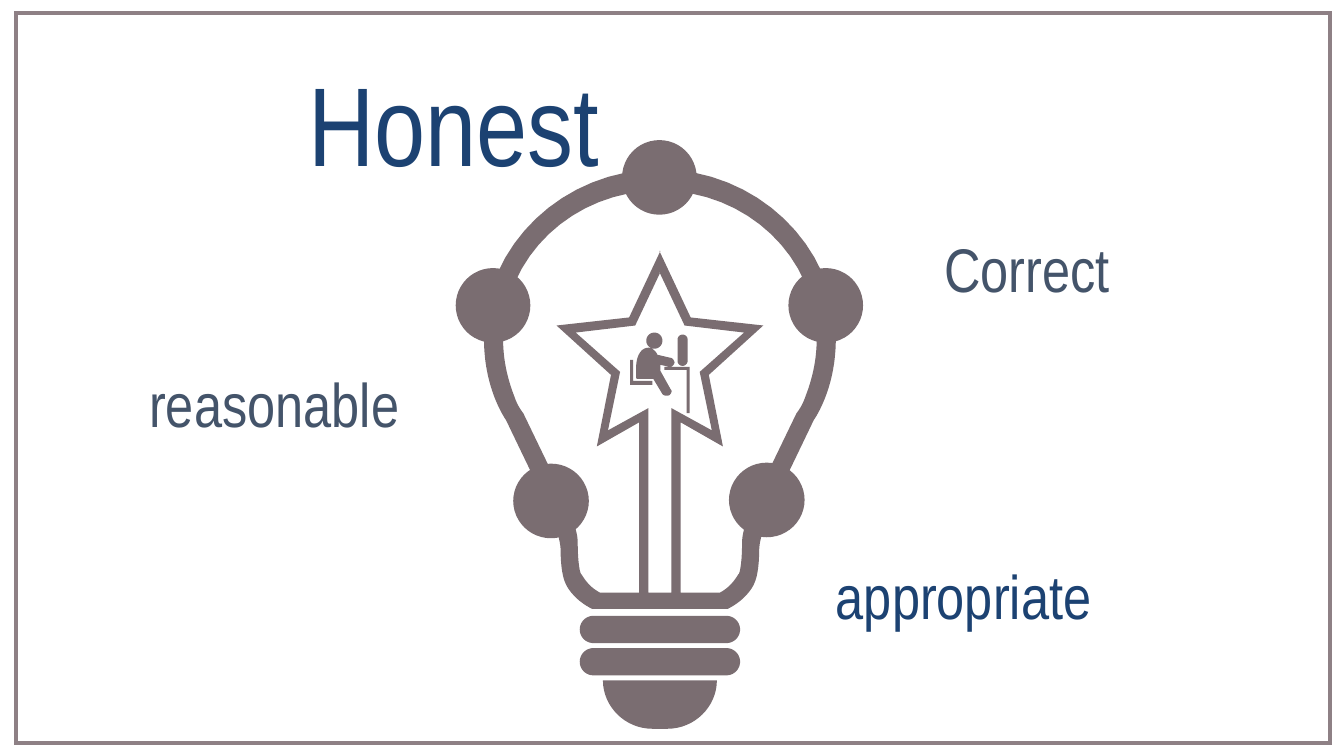
from dataclasses import dataclass

from lxml import etree
from pptx import Presentation, util as u
from pptx.dml.color import RGBColor
from pptx.enum import shapes, text
from pptx.oxml import ns

PX = 9144
MIRROR_SUM = 1309
CURVE_STEPS = 16
ROUNDNESS = 0.45

TAUPE = RGBColor(0x7A, 0x6D, 0x71)
FRAME_GREY = RGBColor(0x8E, 0x80, 0x85)
SLATE = RGBColor(0x44, 0x54, 0x6A)
NAVY = RGBColor(0x1C, 0x42, 0x72)

Point = tuple[float, float]
Segment = tuple[float, ...]


@dataclass(frozen=True)
class Contour:
    start: Point
    segments: list[Segment]
    mirrored: bool = True


@dataclass(frozen=True)
class Box:
    left: int
    top: int
    width: int
    height: int


@dataclass(frozen=True)
class Word:
    wording: str
    box: Box
    size: int
    color: RGBColor
    alignment: text.PP_ALIGN = text.PP_ALIGN.LEFT


def pill(left: int, top: int, width: int, height: int) -> Contour:
    right, bottom = left + width, top + height
    r = min(width, height) / 2
    k = r * ROUNDNESS
    return Contour((left + r, top), [
        (right - r, top),
        (right - k, top, right, top + k, right, top + r),
        (right, bottom - r),
        (right, bottom - k, right - k, bottom, right - r, bottom),
        (left + r, bottom),
        (left + k, bottom, left, bottom - k, left, bottom - r),
        (left, top + r),
        (left, top + k, left + k, top, left + r, top),
    ], mirrored=False)


GLASS = Contour((655, 168), [
    (559, 168, 480, 243, 480, 335),
    (480, 358, 484, 379, 492, 398),
    (495, 405, 498, 411, 502, 417),
    (514, 442, 534, 484, 547, 509),
    (547, 509, 556, 535, 556, 545),
    (556, 555, 557, 571, 561, 579),
    (563, 584, 571, 596, 587, 604),
    (655, 604),
])
STAR_INSIDE = Contour((655, 270), [
    (630, 323), (571, 330), (615, 369), (603, 427), (643, 405), (643, 588), (655, 588),
])
CAVITY = Contour((655, 249), [
    (624, 315), (552, 323), (606, 372), (592, 443), (634, 419), (634, 588), (595, 588),
    (582, 581, 578, 571, 576, 569),
    (574, 564, 573, 551, 573, 538),
    (573, 523, 561, 500, 561, 497),
    (519, 410),
    (515, 405, 512, 399, 510, 393),
    (503, 375, 499, 356, 499, 337),
    (499, 255, 568, 189, 655, 189),
])
CAP = Contour((655, 675), [(598, 675), (598, 701, 620, 723, 647, 723), (655, 723)])
SCREW_RINGS = [pill(575, top, 159, 27) for top in (611, 643)]
WORKER_BODY = Contour((643, 345), [
    (647, 345, 651, 349, 652, 352),
    (665, 355),
    (667, 355, 669, 358, 669, 360),
    (668, 363, 666, 364, 664, 364),
    (655, 362), (655, 368), (665, 386),
    (667, 388, 666, 390, 664, 392),
    (662, 393, 659, 393, 657, 391),
    (648, 376), (632, 376), (631, 375), (631, 364),
    (631, 353, 636, 345, 643, 345),
], mirrored=False)
WORKER_HEAD = pill(641, 330, 16, 16)
MONITOR = pill(672, 332, 10, 31)
DESK = Contour((659, 364), [
    (684, 364), (684, 410), (681, 410), (681, 367), (659, 367),
], mirrored=False)
CHAIR = Contour((625, 357), [
    (628, 357), (628, 378), (647, 378), (647, 382), (625, 382),
], mirrored=False)
OUTLINES = [
    [CAP, *SCREW_RINGS],
    [GLASS, STAR_INSIDE, CAVITY],
    [DESK, CHAIR, MONITOR, WORKER_HEAD, WORKER_BODY],
]

NODES = [Box(left, top, width, 74) for left, top, width in
         [(723, 459, 75), (452, 266, 74), (782, 266, 74), (509, 460, 75), (617, 139, 74)]]
FRAME = Box(16, 13, 1303, 724)

TITLE = Word("Honest", Box(306, 54, 349, 135), 80, NAVY)
WORDS = [
    Word("Correct", Box(869, 229, 232, 74), 44, SLATE, text.PP_ALIGN.RIGHT),
    Word("reasonable", Box(148, 363, 292, 74), 44, SLATE),
    Word("appropriate", Box(829, 554, 305, 74), 44, NAVY),
]


def emu(box: Box) -> list[int]:
    return [value * PX for value in (box.left, box.top, box.width, box.height)]


def curve(points: list[Point]) -> list[Point]:
    result = []
    for step in range(1, CURVE_STEPS + 1):
        t = step / CURVE_STEPS
        weights = ((1 - t) ** 3, 3 * t * (1 - t) ** 2, 3 * t * t * (1 - t), t ** 3)
        result.append(tuple(sum(w * point[axis] for w, point in zip(weights, points))
                            for axis in (0, 1)))
    return result


def vertices(contour: Contour) -> list[Point]:
    result: list[Point] = [contour.start]
    for segment in contour.segments:
        points = list(zip(segment[::2], segment[1::2]))
        result += points if len(points) == 1 else curve([result[-1], *points])
    if contour.mirrored:
        result += [(MIRROR_SUM - x, y) for x, y in reversed(result)]
    return [(round(x * PX), round(y * PX)) for x, y in result]


def paint(shape) -> None:
    shape.shadow.inherit = False
    shape.fill.solid()
    shape.fill.fore_color.rgb = TAUPE
    shape.line.fill.background()


def add_outline(slide, contours: list[Contour]) -> None:
    first, *others = [vertices(contour) for contour in contours]
    builder = slide.shapes.build_freeform(*first[0], scale=1.0)
    builder.add_line_segments(first[1:], close=True)
    for points in others:
        builder.move_to(*points[0])
        builder.add_line_segments(points[1:], close=True)
    paint(builder.convert_to_shape())


def write_word(shape, word: Word) -> None:
    shape.left, shape.top, shape.width, shape.height = emu(word.box)
    frame = shape.text_frame
    frame.text = word.wording
    frame.word_wrap = True
    frame.auto_size = text.MSO_AUTO_SIZE.NONE
    frame.vertical_anchor = text.MSO_ANCHOR.TOP
    frame.margin_left = frame.margin_top = frame.margin_right = frame.margin_bottom = 0
    paragraph = frame.paragraphs[0]
    paragraph.alignment = word.alignment
    font = paragraph.runs[0].font
    font.name = "Arial Narrow"
    font.size = u.Pt(word.size)
    font.color.rgb = word.color


def add_frame(slide) -> None:
    frame = slide.shapes.add_shape(shapes.MSO_SHAPE.RECTANGLE, *emu(FRAME))
    frame.shadow.inherit = False
    frame.fill.background()
    frame.line.color.rgb = FRAME_GREY
    frame.line.width = u.Pt(3)
    outline = frame.element.spPr.find(ns.qn("a:ln"))
    etree.SubElement(outline, ns.qn("a:miter"), lim="800000")


def main() -> None:
    presentation = Presentation()
    presentation.slide_width = 1333 * PX
    presentation.slide_height = 750 * PX
    slide = presentation.slides.add_slide(presentation.slide_layouts[5])
    add_frame(slide)
    for contours in OUTLINES:
        add_outline(slide, contours)
    for node in NODES:
        paint(slide.shapes.add_shape(shapes.MSO_SHAPE.OVAL, *emu(node)))
    for word in WORDS:
        write_word(slide.shapes.add_textbox(*emu(word.box)), word)
    write_word(slide.shapes.title, TITLE)
    presentation.save("out.pptx")


if __name__ == "__main__":
    main()
